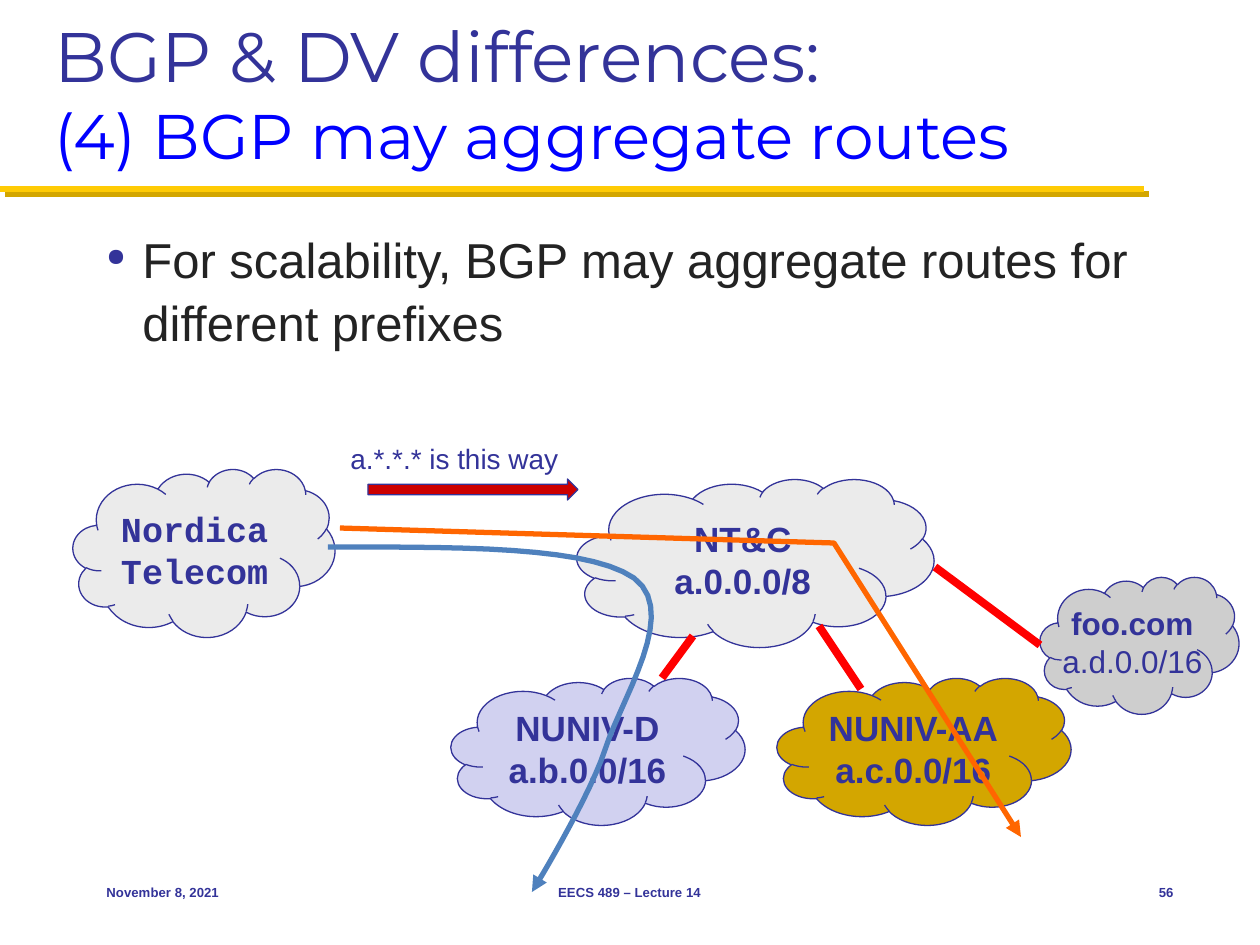
from dataclasses import dataclass

from lxml import etree
from pptx import Presentation
from pptx.dml.color import RGBColor
from pptx.enum import shapes, text
from pptx.oxml import ns
from pptx.util import Pt

PX = 914400 // 126  # one px in EMU
MID, TOP, END = text.MSO_ANCHOR.MIDDLE, text.MSO_ANCHOR.TOP, text.MSO_ANCHOR.BOTTOM
LEFT, MIDDLE, RIGHT = text.PP_ALIGN.LEFT, text.PP_ALIGN.CENTER, text.PP_ALIGN.RIGHT


@dataclass(frozen=True)
class Theme:
    navy: str = "333399"
    blue: str = "0000FF"
    ink: str = "232323"
    gold: str = "FFCB05"
    ochre: str = "D3A600"
    pale: str = "EBEBEB"
    grey: str = "CECECE"
    lilac: str = "D1D1F0"
    steel: str = "4F81BD"
    orange: str = "FF6600"
    red: str = "FF0000"
    brick: str = "CC0000"
    sans: str = "Arial"
    mono: str = "Courier New"
    display: str = "Montserrat"
    title: float = 40
    sub: float = 36
    body: float = 28
    node: float = 20
    small: float = 18
    label: float = 16
    foot: float = 7.5


T = Theme()


def emu(*nums):
    return [round(n * PX) for n in nums]


def rgb(code):
    return RGBColor.from_string(code)


def sub(parent, tag, **attrs):
    node = etree.SubElement(parent, ns.qn(tag))
    for key, val in attrs.items():
        node.set(key, str(val))
    return node


def apply(item, vals):
    for key, val in vals.items():
        setattr(item, key, val)


def run(para, words, size, color=T.navy, name=T.sans, bold=False):
    part = para.add_run()
    part.text = words
    apply(part.font, dict(size=Pt(size), name=name, bold=bold))
    part.font.color.rgb = rgb(color)


def lines(shape, rows, align=LEFT, anchor=TOP, wrap=False):
    """Fill one paragraph; each row holds the arguments of a run."""
    apply(shape.text_frame, dict(word_wrap=wrap, vertical_anchor=anchor))
    para = shape.text_frame.paragraphs[0]
    para.alignment = align
    for i, row in enumerate(rows):
        if i:
            para.add_line_break()
        run(para, *row)
    return para


def note(page, x, y, w, h, rows, **form):
    return lines(page.shapes.add_textbox(*emu(x, y, w, h)), rows, **form)


def stroke(shape, color, width):
    shape.line.color.rgb = rgb(color)
    shape.line.width = Pt(width)


def solid(page, kind, x, y, w, h, fill):
    shape = page.shapes.add_shape(kind, *emu(x, y, w, h))
    shape.shadow.inherit = False
    shape.fill.solid()
    shape.fill.fore_color.rgb = rgb(fill)
    stroke(shape, T.navy, 0.75)
    return shape


def link(page, a, b, color, width):
    wire = page.shapes.add_connector(shapes.MSO_CONNECTOR.STRAIGHT, *emu(*a, *b))
    stroke(wire, color, width)
    return sub(wire._element.spPr, "a:effectLst")


def route(page, pts, color):
    pen = page.shapes.build_freeform(*emu(*pts[0]), scale=1.0)
    pen.add_line_segments([emu(*p) for p in pts[1:]], close=False)
    shape = pen.convert_to_shape()
    shape.shadow.inherit = False
    shape.fill.background()
    stroke(shape, color, 3)
    sub(shape.line._get_or_add_ln(), "a:tailEnd", type="triangle")


def curve(pts, steps=14):
    """Sample a chain of cubic Bezier pieces."""
    out = [pts[0]]
    for i in range(0, len(pts) - 1, 3):
        piece = pts[i:i + 4]
        for n in range(1, steps + 1):
            t = n / steps
            mix = ((1 - t) ** 3, 3 * t * (1 - t) ** 2, 3 * t * t * (1 - t), t ** 3)
            out.append(tuple(sum(m * p[k] for m, p in zip(mix, piece)) for k in (0, 1)))
    return out


def head(page, x, y, w, h):
    # Gold rule with an offset shadow
    glow = link(page, (0, y + 168), (1144, y + 168), T.gold, 3.5)
    shade = sub(glow, "a:outerShdw", dist=Pt(4.2), dir=45 * 60000, algn="ctr", rotWithShape=0)
    sub(shade, "a:srgbClr", val=T.ochre)
    # Two-line title
    rows = [("BGP & DV differences:", T.title, T.navy, T.display),
            ("(4) BGP may aggregate routes", T.sub, T.blue, T.display)]
    note(page, x, y, w, h, rows, anchor=END, wrap=True)


def body(page, x, y, w, h):
    words = "For scalability, BGP may aggregate routes for different prefixes"
    para = note(page, x, y, w, h, [(words, T.body, T.ink)], wrap=True)
    para.line_spacing = 1.06
    # Hanging bullet
    props = para._p.get_or_add_pPr()
    indent = emu(36)[0]
    apply_attrs = dict(marL=indent, indent=-indent)
    for key, val in apply_attrs.items():
        props.set(key, str(val))
    sub(sub(props, "a:buClr"), "a:srgbClr", val=T.navy)
    sub(props, "a:buSzPct", val=50000)
    sub(props, "a:buChar", char="●")


def net(page, x, y):
    def at(*pts):
        return [(x + a, y + b) for a, b in pts]

    def cloud(a, b, w, h, fill, rows):
        shape = solid(page, shapes.MSO_SHAPE.CLOUD, x + a, y + b, w, h, fill)
        lines(shape, rows, MIDDLE, MID)

    # Networks
    nodes = [
        (504, 45, 357, 168, T.pale, T.sans, "NT&C", "a.0.0.0/8"),
        (0, 35, 262, 168, T.pale, T.mono, "Nordica", "Telecom"),
        (378, 244, 294, 147, T.lilac, T.sans, "NUNIV-D", "a.b.0.0/16"),
        (704, 244, 294, 147, T.ochre, T.sans, "NUNIV-AA", "a.c.0.0/16"),
    ]
    for *box, fill, face, name, net_id in nodes:
        cloud(*box, fill, [(s, T.node, T.navy, face, True) for s in (name, net_id)])

    # Routes and links
    bends = at((255, 113), (386, 113), (515, 112), (561, 144), (607, 178),
               (549, 263), (532, 316), (515, 367), (459, 458), (459, 458))
    route(page, curve(bends), T.steel)
    for ends in (((620, 202), (589, 244)), ((746, 192), (788, 255))):
        link(page, *at(*ends), T.red, 4.5)
    route(page, at((267, 94), (761, 109), (948, 403)), T.orange)

    # Advertised prefix
    solid(page, shapes.MSO_SHAPE.RIGHT_ARROW, x + 295, y + 45, 210, 21, T.brick)
    note(page, x + 265, y + 1, 237, 46, [("a.*.*.* is this way", T.label)])

    # Outside customer
    cloud(967, 143, 199, 137, T.grey,
          [("foo.com", T.small, T.navy, T.sans, True), ("a.d.0.0/16", T.small)])
    link(page, *at((862, 133), (967, 211)), T.red, 4.5)


def foot(page, x, y, h):
    parts = [(0, 262, "November 8, 2021", LEFT),
             (336, 399, "EECS 489 – Lecture 14", MIDDLE),
             (1008, 84, "56", RIGHT)]
    for dx, w, words, align in parts:
        note(page, x + dx, y, w, h, [(words, T.foot, T.navy, T.sans, True)],
             align=align, anchor=MID, wrap=True)


def main():
    deck = Presentation()
    apply(deck, dict(zip(("slide_width", "slide_height"), emu(1260, 945))))
    page = deck.slides.add_slide(deck.slide_layouts[6])
    head(page, 42, 21, 1176, 157)
    body(page, 94, 220, 1092, 609)
    net(page, 73, 434)
    foot(page, 94, 861, 63)
    deck.save("out.pptx")


if __name__ == "__main__":
    main()
